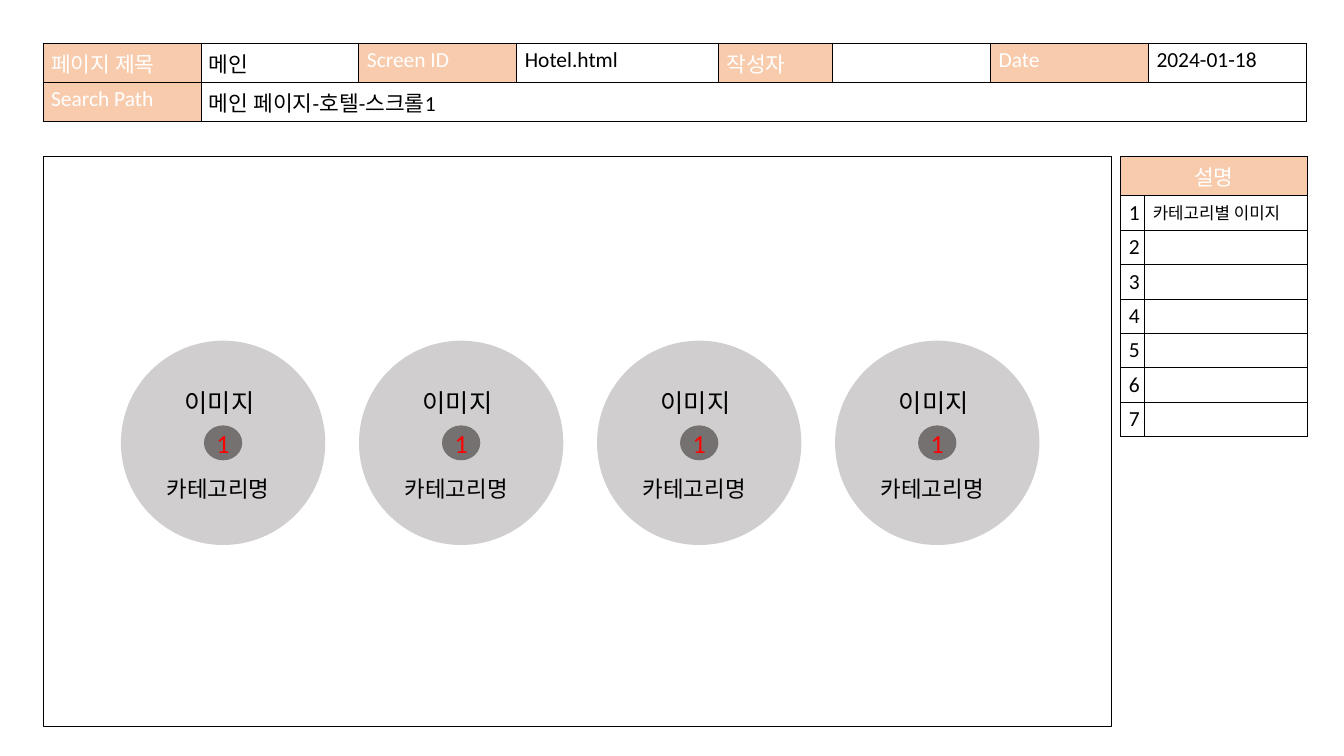
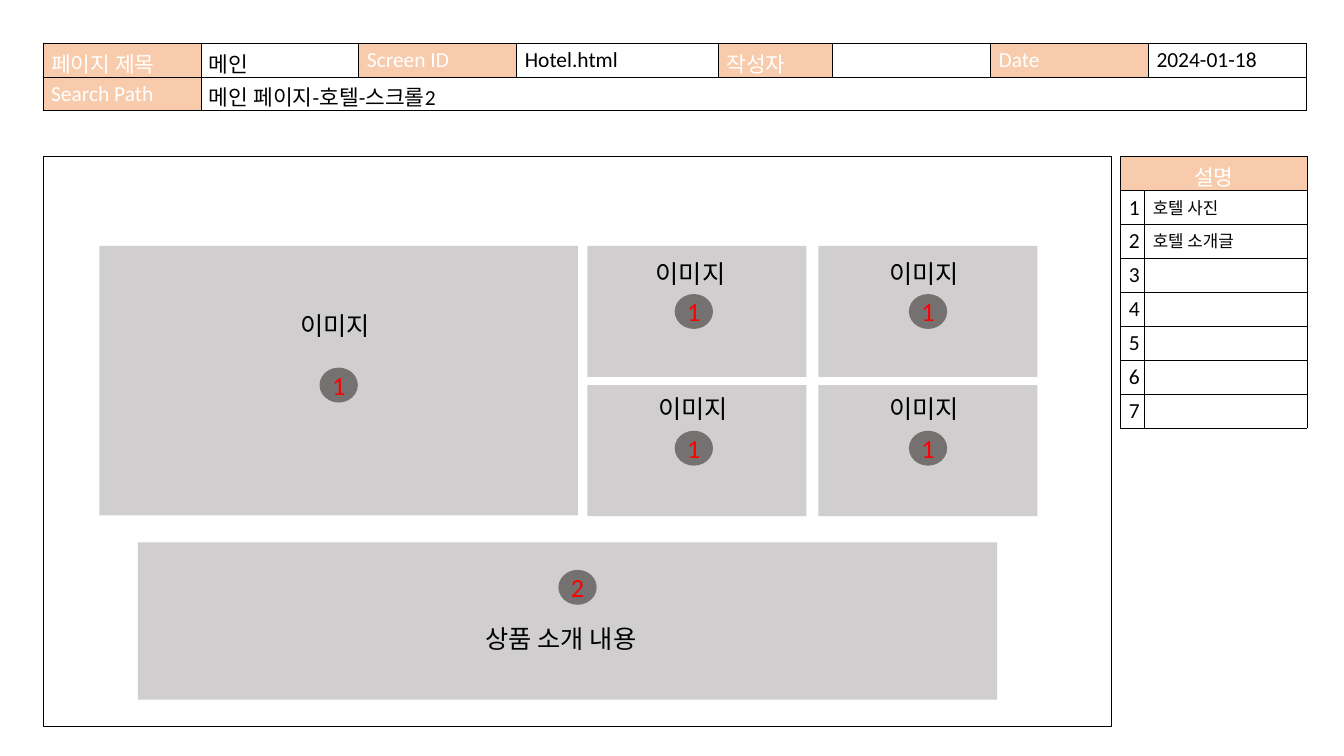
from dataclasses import dataclass
from typing import NamedTuple

from pptx import Presentation
from pptx import util as u
from pptx.dml.color import RGBColor
from pptx.enum import shapes, text
from pptx.oxml import ns, xmlchemy

SLIDE_W, SLIDE_H = u.Inches(20), u.Inches(11.25)
COLUMNS = 80  # square cells, so the slide is 80 columns by 45 rows
CELL = SLIDE_W / COLUMNS

BLACK = RGBColor(0x00, 0x00, 0x00)
WHITE = RGBColor(0xFF, 0xFF, 0xFF)
PEACH = RGBColor(0xF8, 0xCB, 0xAD)
LIGHT_GREY = RGBColor(0xD0, 0xCE, 0xCE)
DARK_GREY = RGBColor(0x76, 0x71, 0x71)
RED = RGBColor(0xFF, 0x00, 0x00)

FONT = "Calibri"
LEFT, CENTER = text.PP_ALIGN.LEFT, text.PP_ALIGN.CENTER
RECT, OVAL = shapes.MSO_SHAPE.RECTANGLE, shapes.MSO_SHAPE.OVAL


class Box(NamedTuple):
    """Left, top, width and height in grid cells."""
    x: float
    y: float
    w: float
    h: float

    def centered(self, w: float, h: float, dx: float, dy: float) -> "Box":
        """Box of size w by h, shifted by dx, dy from this box's centre."""
        return Box(self.x + (self.w - w) / 2 + dx,
                   self.y + (self.h - h) / 2 + dy, w, h)

    def emu(self) -> list[int]:
        return [grid(v) for v in self]


class Caption(NamedTuple):
    label: str
    w: float
    h: float
    size: int
    dx: float
    dy: float


class CellText(NamedTuple):
    label: str
    size: int = 23
    color: RGBColor = BLACK
    align: text.PP_ALIGN = LEFT
    fill: RGBColor | None = None


@dataclass(frozen=True)
class Tile:
    box: Box
    captions: tuple[Caption, ...]
    marker: str = "1"
    marker_shift: tuple[float, float] = (0, 0)
    kind: shapes.MSO_SHAPE = RECT


@dataclass(frozen=True)
class Screen:
    search_path: str
    notes: tuple[str, ...]
    tiles: tuple[Tile, ...]


FRAME = Box(2.56, 9.32, 63.6, 33.92)
ROW_H = 2.02
HEADER_COLS = (9.4, 9.4, 9.4, 12, 6.8, 9.4, 9.4, 9.4)
NOTE_COLS = (1.42, 9.66)
NOTE_X = 66.72
NOTE_ROWS = 7
MARKER_W, MARKER_H = 2.28, 2.08


def grid(cells: float) -> int:
    return round(cells * CELL)


def write(tf, label: str, size: int, color: RGBColor, align=LEFT) -> None:
    p = tf.paragraphs[0]
    p.alignment = align
    r = p.add_run()
    r.text = label
    for name, value in {"name": FONT, "size": u.Pt(size)}.items():
        setattr(r.font, name, value)
    r.font.color.rgb = color


def add_shape(s, kind, box: Box, fill=None, line=None):
    sp = s.shapes.add_shape(kind, *box.emu())
    sp.shadow.inherit = False
    for part, color in ((sp.fill, fill), (sp.line.fill, line)):
        if color is None:
            part.background()
        else:
            part.solid()
            part.fore_color.rgb = color
    if line is not None:
        sp.line.width = u.Pt(1)
    return sp


def add_borders(cell) -> None:
    tc_pr = cell._tc.get_or_add_tcPr()
    for side in ("lnL", "lnR", "lnT", "lnB"):
        ln = xmlchemy.OxmlElement(f"a:{side}")
        ln.set("w", str(u.Pt(1)))
        fill = ln.makeelement(ns.qn("a:solidFill"))
        fill.append(fill.makeelement(ns.qn("a:srgbClr"), {"val": str(BLACK)}))
        ln.append(fill)
        tc_pr.append(ln)


def add_table(s, x: float, y: float, cols: tuple[float, ...],
              rows: list[list[CellText]]) -> None:
    """Draw the rows; the last cell of a short row spans what is left."""
    box = Box(x, y, sum(cols), ROW_H * len(rows))
    table = s.shapes.add_table(len(rows), len(cols), *box.emu()).table
    table.first_row = table.horz_banding = False
    for column, width in zip(table.columns, cols):
        column.width = grid(width)
    margins = {"margin_left": 0.48, "margin_right": 0.48,
               "margin_top": 0.24, "margin_bottom": 0.24}
    for i, row in enumerate(rows):
        for cell in table.rows[i].cells:
            add_borders(cell)
            cell.fill.background()
            for name, value in margins.items():
                setattr(cell, name, grid(value))
        for j, content in enumerate(row):
            cell = table.cell(i, j)
            if content.fill is not None:
                cell.fill.solid()
                cell.fill.fore_color.rgb = content.fill
            if content.label:
                write(cell.text_frame, *content[:4])
        if len(row) < len(cols):
            table.cell(i, len(row) - 1).merge(table.cell(i, len(cols) - 1))


def heading(label: str, align=LEFT) -> CellText:
    return CellText(label, color=WHITE, align=align, fill=PEACH)


def add_header(s, search_path: str) -> None:
    fields = {"페이지 제목": "메인", "Screen ID": "Hotel.html",
              "작성자": "", "Date": "2024-01-18"}
    first = [c for name, value in fields.items()
             for c in (heading(name), CellText(value))]
    second = [heading("Search Path"), CellText(search_path)]
    add_table(s, FRAME.x, 2.56, HEADER_COLS, [first, second])


def add_notes_table(s, notes: tuple[str, ...]) -> None:
    rows = [[heading("설명", CENTER)]]
    for i in range(NOTE_ROWS):
        note = notes[i] if i < len(notes) else ""
        rows.append([CellText(str(i + 1), align=CENTER), CellText(note, 18)])
    add_table(s, NOTE_X, FRAME.y, NOTE_COLS, rows)


def add_marker(s, tile: Tile) -> None:
    box = tile.box.centered(MARKER_W, MARKER_H, *tile.marker_shift)
    sp = add_shape(s, shapes.MSO_SHAPE.FLOWCHART_CONNECTOR, box, DARK_GREY)
    sp.text_frame.vertical_anchor = text.MSO_ANCHOR.MIDDLE
    write(sp.text_frame, tile.marker, 28, RED, CENTER)


def add_caption(s, tile: Tile, c: Caption) -> None:
    box = tile.box.centered(c.w, c.h, c.dx, c.dy)
    tf = s.shapes.add_textbox(*box.emu()).text_frame
    tf.word_wrap = False
    tf.auto_size = text.MSO_AUTO_SIZE.SHAPE_TO_FIT_TEXT
    write(tf, c.label, c.size, BLACK)


def image_caption(dx: float, dy: float) -> Caption:
    return Caption("이미지", 5.36, 2.24, 27, dx, dy)


def category_tiles() -> tuple[Tile, ...]:
    captions = (image_caption(0, -2.4),
                Caption("카테고리명", 7.52, 2, 24, 0, 2.72))
    return tuple(Tile(Box(7.2 + 14.17 * i, 20.28, 12.16, 12.16), captions,
                      kind=OVAL) for i in range(4))


def hotel_tiles() -> tuple[Tile, ...]:
    main_photo = Tile(Box(5.92, 14.64, 28.48, 16.04),
                      (image_caption(0, -3.26),), marker_shift=(0, 0.26))
    small_photos = [
        Tile(Box(34.96 + 13.76 * col, 14.64 + 8.28 * row, 13.04, 7.8),
             (image_caption(-0.16 if row == col == 0 else 0,
                            -2.26 - 0.2 * row),),
             marker_shift=(-0.18 * (1 - col), -0.14 * row))
        for row in range(2) for col in range(2)]
    intro = Tile(Box(8.2, 32.28, 51.16, 9.36),
                 (Caption("상품 소개 내용", 10.6, 2.24, 27, 0.04, 1.08),),
                 marker="2", marker_shift=(0.6, -2))
    return (main_photo, *small_photos, intro)


def add_screen(prs, screen: Screen) -> None:
    s = prs.slides.add_slide(prs.slide_layouts[6])
    add_header(s, screen.search_path)
    add_notes_table(s, screen.notes)
    add_shape(s, RECT, FRAME, line=BLACK)
    for tile in screen.tiles:
        add_shape(s, tile.kind, tile.box, LIGHT_GREY)
    for tile in screen.tiles:
        add_marker(s, tile)
    for tile in screen.tiles:
        for caption in tile.captions:
            add_caption(s, tile, caption)


def main() -> None:
    prs = Presentation()
    prs.slide_width, prs.slide_height = SLIDE_W, SLIDE_H
    screens = (
        Screen("메인 페이지-호텔-스크롤1", ("카테고리별 이미지",),
               category_tiles()),
        Screen("메인 페이지-호텔-스크롤2", ("호텔 사진", "호텔 소개글"),
               hotel_tiles()),
    )
    for screen in screens:
        add_screen(prs, screen)
    prs.save("out.pptx")


if __name__ == "__main__":
    main()
